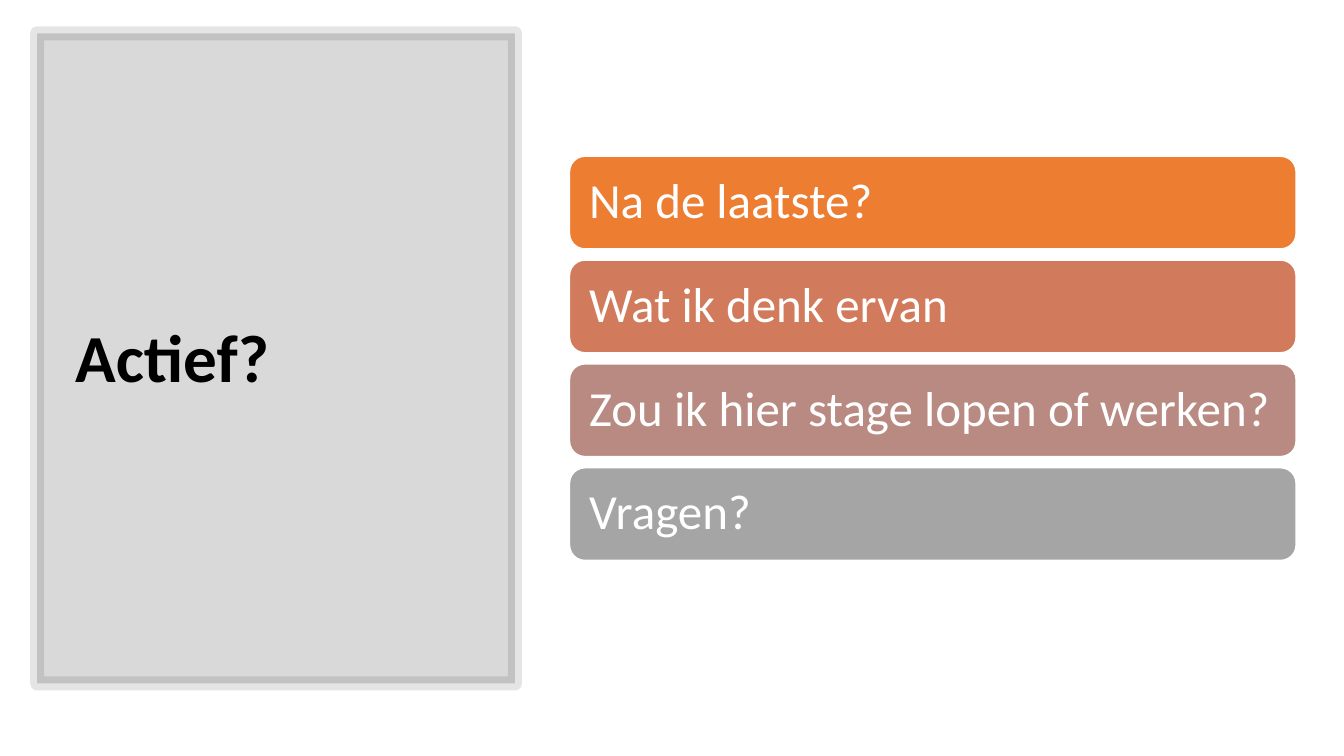
from lxml import etree
from pptx import Presentation
from pptx.dml.color import RGBColor
from pptx.enum import shapes, text
from pptx.oxml.ns import qn
from pptx.util import Pt

QUESTIONS = [
    ("Na de laatste?", "ED7D31"),
    ("Wat ik denk ervan", "D17B5C"),
    ("Zou ik hier stage lopen of werken?", "B98A82"),
    ("Vragen?", "A5A5A5"),
]


def paint(fill, color, opacity=100):
    """Make a fill solid, with its opacity in percent."""
    fill.solid()
    fill.fore_color.rgb = RGBColor.from_string(color)
    if opacity < 100:
        clr = fill._xPr.find(qn("a:solidFill"))[0]
        etree.SubElement(clr, qn("a:alpha"), val=str(opacity * 1000))


def add_box(slide, kind, box, color, line, line_width, opacity=100, line_opacity=100):
    sp = slide.shapes.add_shape(kind, *map(Pt, box))
    sp.shadow.inherit = False
    paint(sp.fill, color, opacity)
    sp.line.width = Pt(line_width)
    paint(sp.line.fill, line, line_opacity)
    return sp


def write(sp, words, size, color, inset, bold=False):
    """Set one left-aligned, vertically centred line of text."""
    tf = sp.text_frame
    tf.word_wrap = True
    tf.vertical_anchor = text.MSO_ANCHOR.MIDDLE
    tf.margin_left = tf.margin_right = Pt(inset)
    p = tf.paragraphs[0]
    p.alignment = text.PP_ALIGN.LEFT
    p.line_spacing = 0.9
    r = p.add_run()
    r.text = words
    r.font.name = "Calibri"
    r.font.size = Pt(size)
    r.font.bold = bold
    r.font.color.rgb = RGBColor.from_string(color)


def title_panel(slide, left, top, width, height):
    add_box(slide, shapes.MSO_SHAPE.RECTANGLE, (left, top, width, height),
            "000000", "000000", 10, opacity=15, line_opacity=10)
    title = slide.shapes.add_textbox(Pt(left + 20), Pt(top + 26.5),
                                     Pt(width - 42), Pt(height - 50))
    write(title, "Actief?", 48, "000000", inset=7.2, bold=True)


def question_list(slide, left, top, width, height, gap=8):
    bar_height = (height - gap * (len(QUESTIONS) - 1)) / len(QUESTIONS)
    for i, (question, color) in enumerate(QUESTIONS):
        box = (left, top + i * (bar_height + gap), width, bar_height)
        bar = add_box(slide, shapes.MSO_SHAPE.ROUNDED_RECTANGLE, box, color, "FFFFFF", 1)
        write(bar, question, 35, "FFFFFF", inset=10.8)


def main():
    prs = Presentation()
    prs.slide_width, prs.slide_height = Pt(960), Pt(540)
    slide = prs.slides.add_slide(prs.slide_layouts[6])
    title_panel(slide, 26.6, 23.8, 341.3, 464.4)
    question_list(slide, 406.8, 111.6, 519, 288.7)
    prs.save("out.pptx")


if __name__ == "__main__":
    main()
